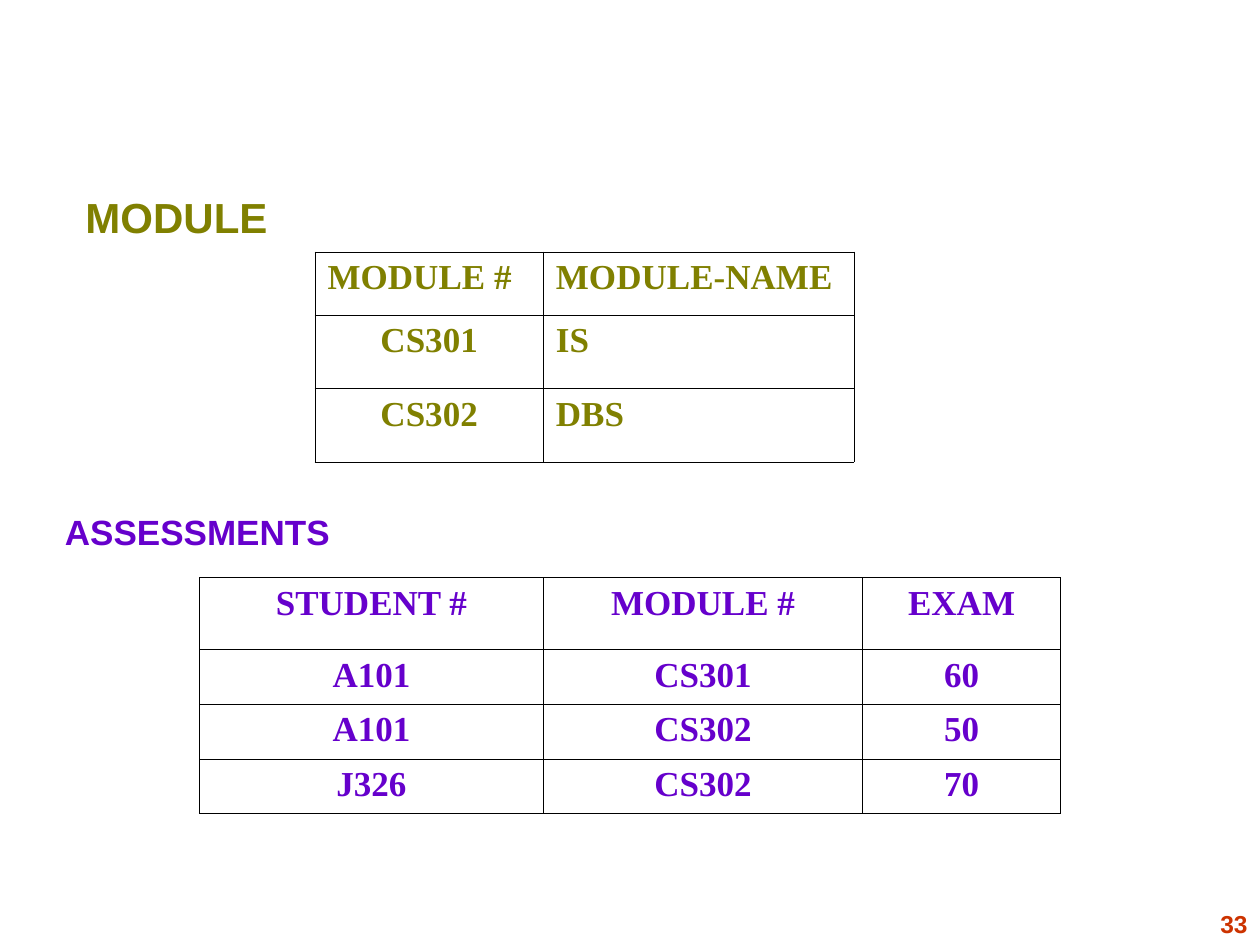
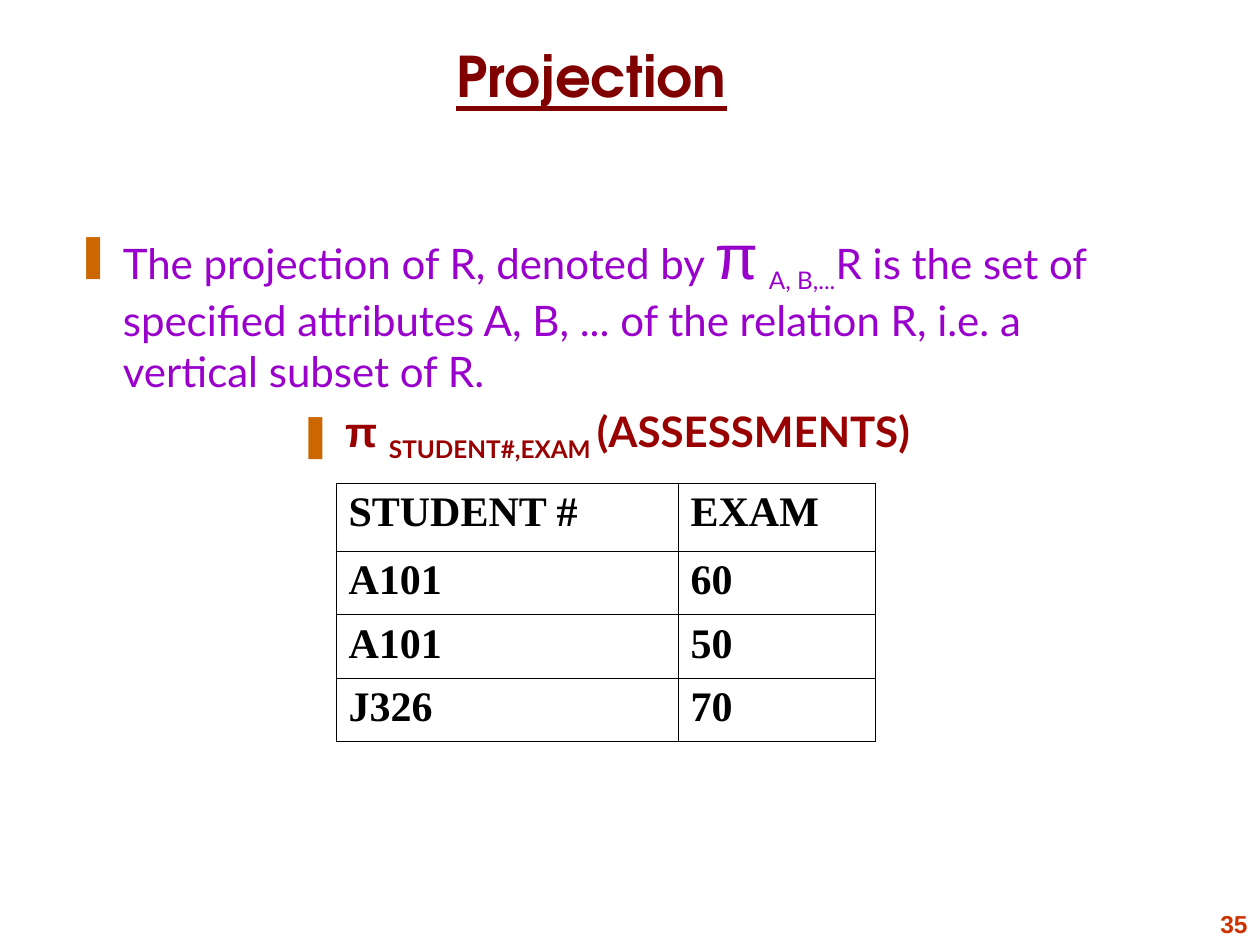
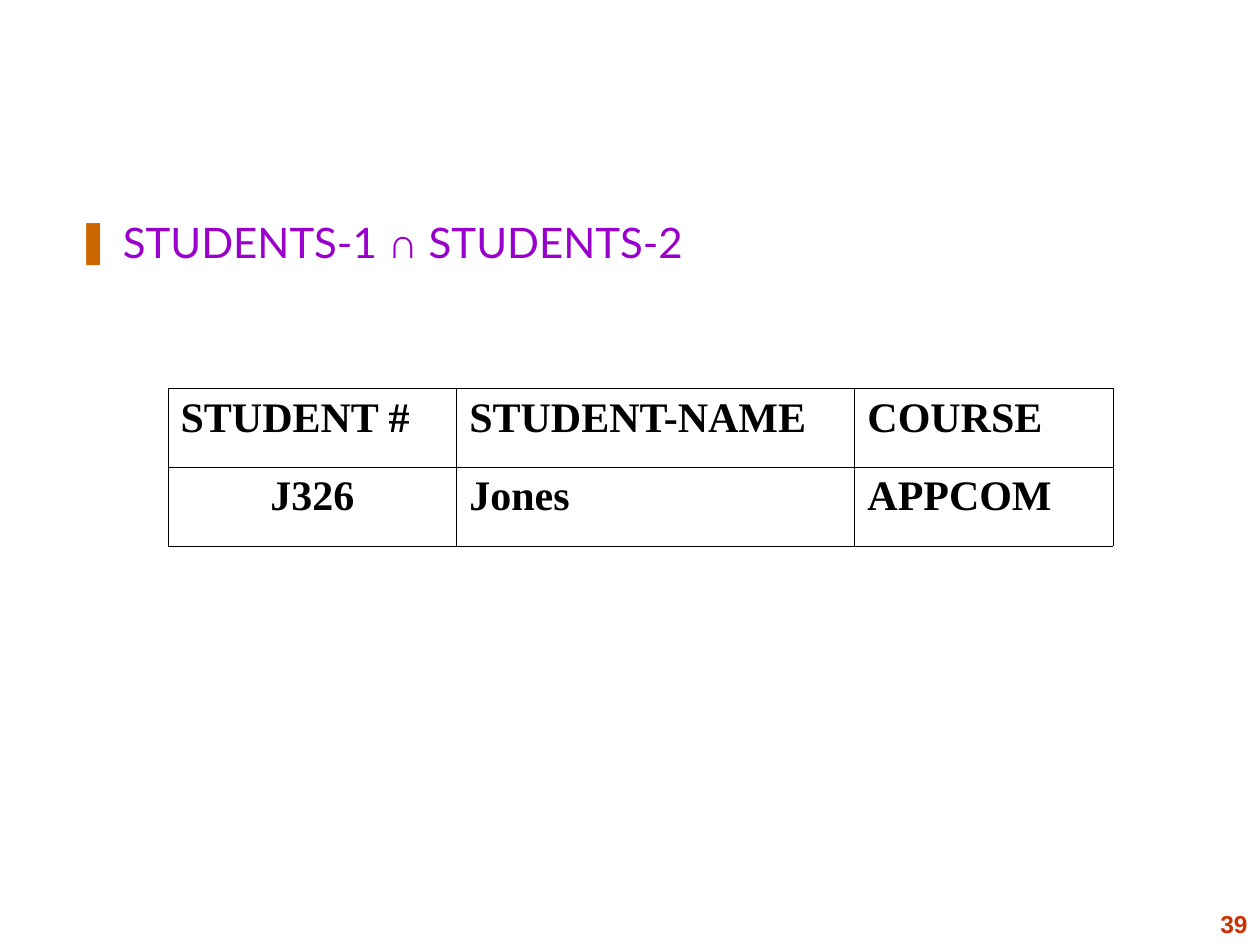
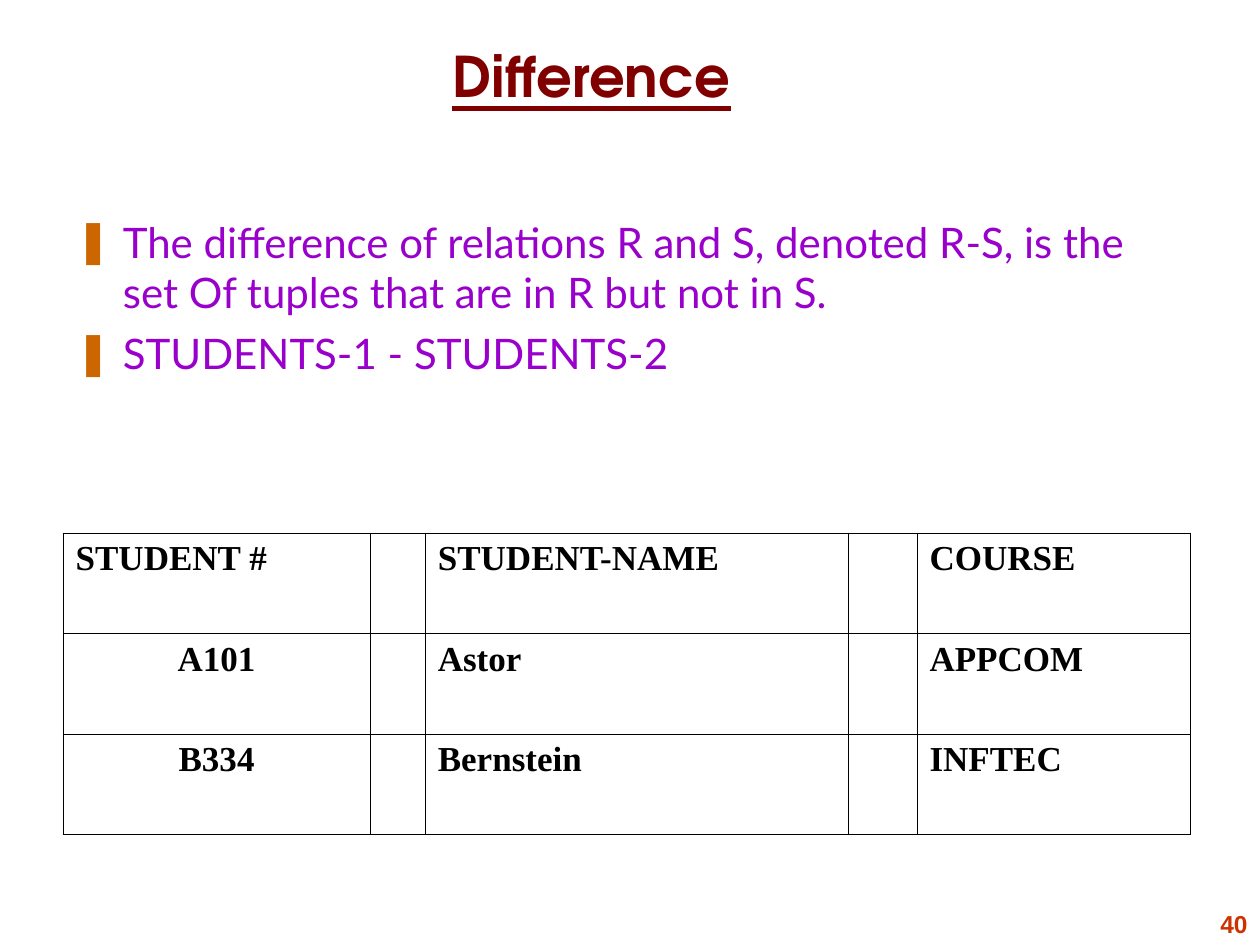
"""Build four relational algebra slides with headings, lists and bordered tables."""
from lxml import etree
from pptx import Presentation
from pptx import util as u
from pptx.dml.color import RGBColor
from pptx.enum import text as t
from pptx.oxml import ns

HUES = {
    "title": "800000", "body": "9900CC", "bullet": "CC6600", "term": "990000",
    "page": "CC3300", "olive": "808000", "violet": "6600CC", "black": "000000",
}
SANS, BODY, HEAD, SERIF = "Arial", "Lato", "TeX Gyre Adventor", "Times New Roman"
LEFT, MID, RIGHT = t.PP_ALIGN.LEFT, t.PP_ALIGN.CENTER, t.PP_ALIGN.RIGHT
TOPIC, BLANK = 1, 6
INDENT = 27


def style(run, size, face, hue, bold=False, sub=False):
    font = run.font
    font.size, font.name, font.bold = u.Pt(size), face, bold
    font.color.rgb = RGBColor.from_string(HUES[hue])
    if sub:
        run._r.get_or_add_rPr().set("baseline", "-25000")


def place(shape, left, top, width, height):
    shape.left, shape.top = u.Pt(left), u.Pt(top)
    shape.width, shape.height = u.Pt(width), u.Pt(height)


def add_label(slide, words, box, size, hue):
    frame = slide.shapes.add_textbox(*map(u.Pt, box)).text_frame
    frame.word_wrap = False
    frame.auto_size = t.MSO_AUTO_SIZE.SHAPE_TO_FIT_TEXT
    frame.vertical_anchor = t.MSO_ANCHOR.MIDDLE
    frame.text = words
    style(frame.paragraphs[0].runs[0], size, SANS, hue, bold=True)
    return frame


def add_slide(deck, layout, page):
    slide = deck.slides.add_slide(deck.slide_layouts[layout])
    frame = add_label(slide, page, (530, 516.25, 190, 23.75), 14, "page")
    frame.word_wrap = True
    frame.auto_size = t.MSO_AUTO_SIZE.NONE
    frame.vertical_anchor = t.MSO_ANCHOR.BOTTOM
    para = frame.paragraphs[0]
    para.alignment, para.space_before = RIGHT, u.Pt(8.8)
    return slide


def set_title(slide, words):
    title = slide.shapes.title
    place(title, 32, 18, 612, 48)
    frame = title.text_frame
    frame.auto_size = t.MSO_AUTO_SIZE.NONE
    frame.vertical_anchor = t.MSO_ANCHOR.BOTTOM
    frame.text = words
    para = frame.paragraphs[0]
    para.alignment = MID
    style(para.runs[0], 32, HEAD, "title", bold=True)
    para.runs[0].font.underline = True


def add_bullet(para):
    props = para._p.get_or_add_pPr()
    props.set("marL", str(u.Pt(INDENT)))
    props.set("indent", str(u.Pt(-INDENT)))
    tint = etree.SubElement(props, ns.qn("a:buClr"))
    etree.SubElement(tint, ns.qn("a:srgbClr"), val=HUES["bullet"])
    etree.SubElement(props, ns.qn("a:buChar"), char="❚")


def set_body(slide, width, height, items):
    body = slide.placeholders[1]
    place(body, 36, 120, width, height)
    frame = body.text_frame
    frame.auto_size = t.MSO_AUTO_SIZE.NONE
    for row, (align, parts) in enumerate(items):
        para = frame.add_paragraph() if row else frame.paragraphs[0]
        para.alignment, para.space_before = align, u.Pt(6)
        add_bullet(para)
        for words, look in parts:
            run = para.add_run()
            run.text = words
            style(run, **{"size": 24, "face": BODY, "hue": "body", **look})


def add_edges(cell):
    props = cell._tc.get_or_add_tcPr()
    for side in ("lnL", "lnR", "lnT", "lnB"):
        line = etree.SubElement(props, ns.qn("a:" + side), w=str(u.Pt(0.45)))
        fill = etree.SubElement(line, ns.qn("a:solidFill"))
        etree.SubElement(fill, ns.qn("a:srgbClr"), val=HUES["black"])


def add_grid(slide, left, top, cols, rows, data, size, hue="black", mids=()):
    """Add a table; mids holds (row, column) cells to centre."""
    frame = slide.shapes.add_table(len(rows), len(cols), u.Pt(left), u.Pt(top),
                                   u.Pt(sum(cols)), u.Pt(sum(rows)))
    table = frame.table
    table.first_row = table.horz_banding = False
    for col, width in zip(table.columns, cols):
        col.width = u.Pt(width)
    for row, height in zip(table.rows, rows):
        row.height = u.Pt(height)
    for r, line in enumerate(data):
        for c, words in enumerate(line):
            cell = table.cell(r, c)
            add_edges(cell)
            cell.fill.background()
            cell.text = words
            para = cell.text_frame.paragraphs[0]
            para.alignment = MID if (r, c) in mids else LEFT
            for run in para.runs:
                style(run, size, SERIF, hue, bold=True)


def make_tables(deck):
    slide = add_slide(deck, BLANK, "33")
    marks = [("STUDENT #", "MODULE #", "EXAM"), ("A101", "CS301", "60"),
             ("A101", "CS302", "50"), ("J326", "CS302", "70")]
    add_grid(slide, 114, 330, (196.5, 182.5, 113), (41.25, 31.25, 31.25, 31.25), marks,
             20, "violet", [(r, c) for r in range(4) for c in range(3)])
    names = [("MODULE #", "MODULE-NAME"), ("CS301", "IS"), ("CS302", "DBS")]
    add_grid(slide, 180, 144, (130.5, 177.5), (36, 42, 42), names,
             20, "olive", [(1, 0), (2, 0)])
    add_label(slide, "MODULE", (41.75, 106, 120, 36), 24, "olive")
    add_label(slide, "ASSESSMENTS", (30, 288, 166, 31.5), 20, "violet")


def make_project(deck):
    slide = add_slide(deck, TOPIC, "35")
    set_title(slide, "Projection")
    term = {"hue": "term", "bold": True}
    set_body(slide, 624, 186, [
        (LEFT, [("The projection of R, denoted by ", {}),
                ("π", {"size": 36, "face": SANS}),
                (" ", {}),
                ("A, B,...", {"sub": True}),
                ("R is the set of specified attributes A, B, ... of the relation R, "
                 "i.e. a vertical subset of R.", {})]),
        (MID, [("π ", {**term, "face": SANS}),
               ("STUDENT#,EXAM ", {**term, "sub": True}),
               ("(ASSESSMENTS) ", term)]),
    ])
    data = [("STUDENT #", "EXAM"), ("A101", "60"), ("A101", "50"), ("J326", "70")]
    add_grid(slide, 192, 276, (195.5, 112.5), (39, 36.25, 36.25, 36.25), data, 24)


def make_common(deck):
    slide = add_slide(deck, TOPIC, "39")
    title = slide.shapes.title
    title.element.getparent().remove(title.element)
    set_body(slide, 498, 357, [
        (LEFT, [("STUDENTS-1 ", {}), ("∩", {"face": SANS}), (" STUDENTS-2", {})]),
    ])
    data = [("STUDENT #", "STUDENT-NAME", "COURSE"), ("J326", "Jones", "APPCOM")]
    add_grid(slide, 96, 222, (165, 227.5, 147.5), (45, 45), data, 24, mids=[(1, 0)])


def make_differ(deck):
    slide = add_slide(deck, TOPIC, "40")
    set_title(slide, "Difference")
    set_body(slide, 644, 173, [
        (LEFT, [("The difference of relations R and S, denoted R-S, is the set Of tuples "
                 "that are in R but not in S.", {})]),
        (LEFT, [("STUDENTS-1 - STUDENTS-2", {})]),
    ])
    data = [("STUDENT #", "", "STUDENT-NAME", "", "COURSE"),
            ("A101", "", "Astor", "", "APPCOM"),
            ("B334", "", "Bernstein", "", "INFTEC")]
    add_grid(slide, 36, 304.5, (175.5, 31.5, 242, 39, 156), (57.5,) * 3, data, 20,
             mids=[(1, 0), (2, 0)])


def main():
    deck = Presentation()
    deck.slide_width, deck.slide_height = u.Pt(720), u.Pt(540)
    for make in (make_tables, make_project, make_common, make_differ):
        make(deck)
    deck.save("out.pptx")


if __name__ == "__main__":
    main()
